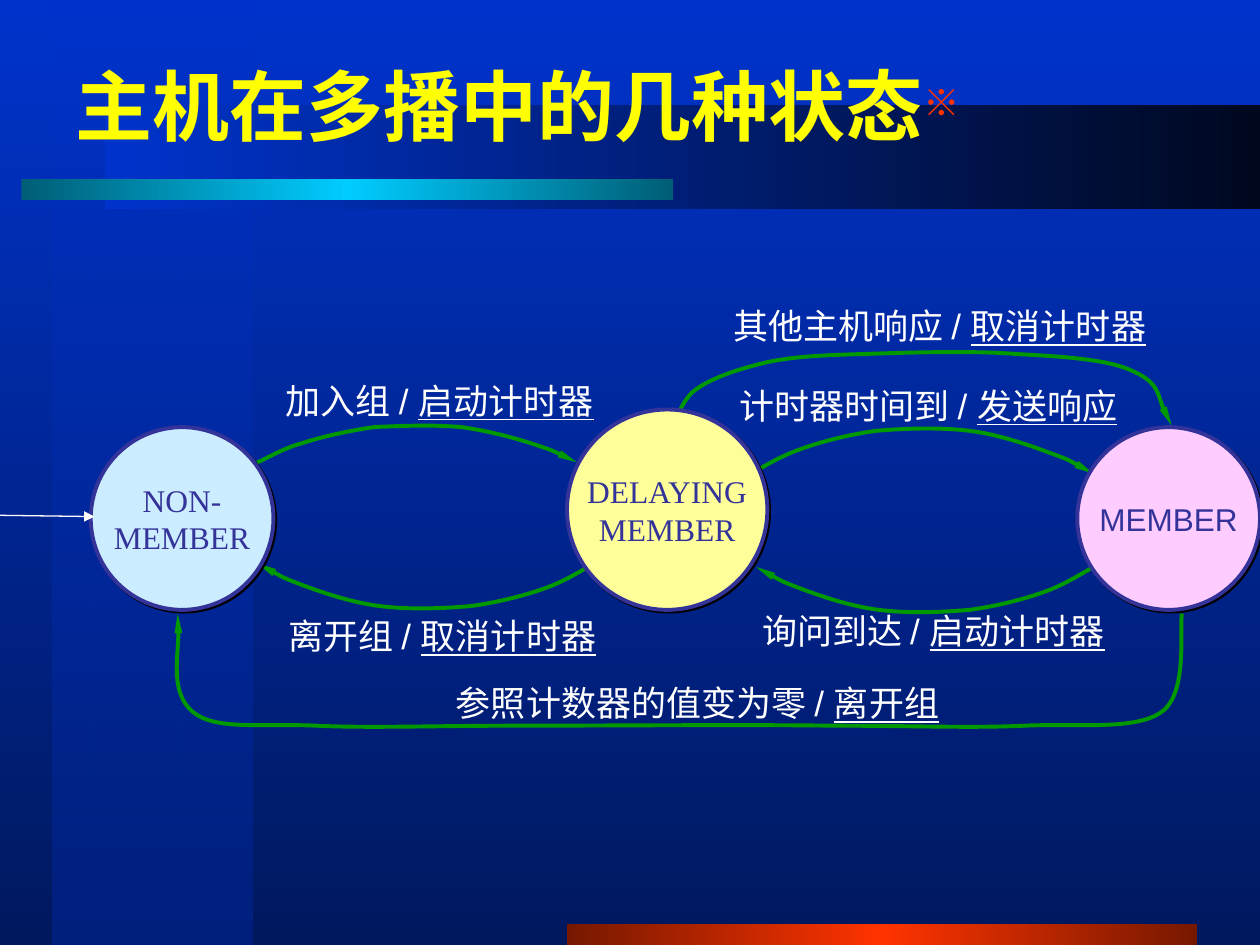
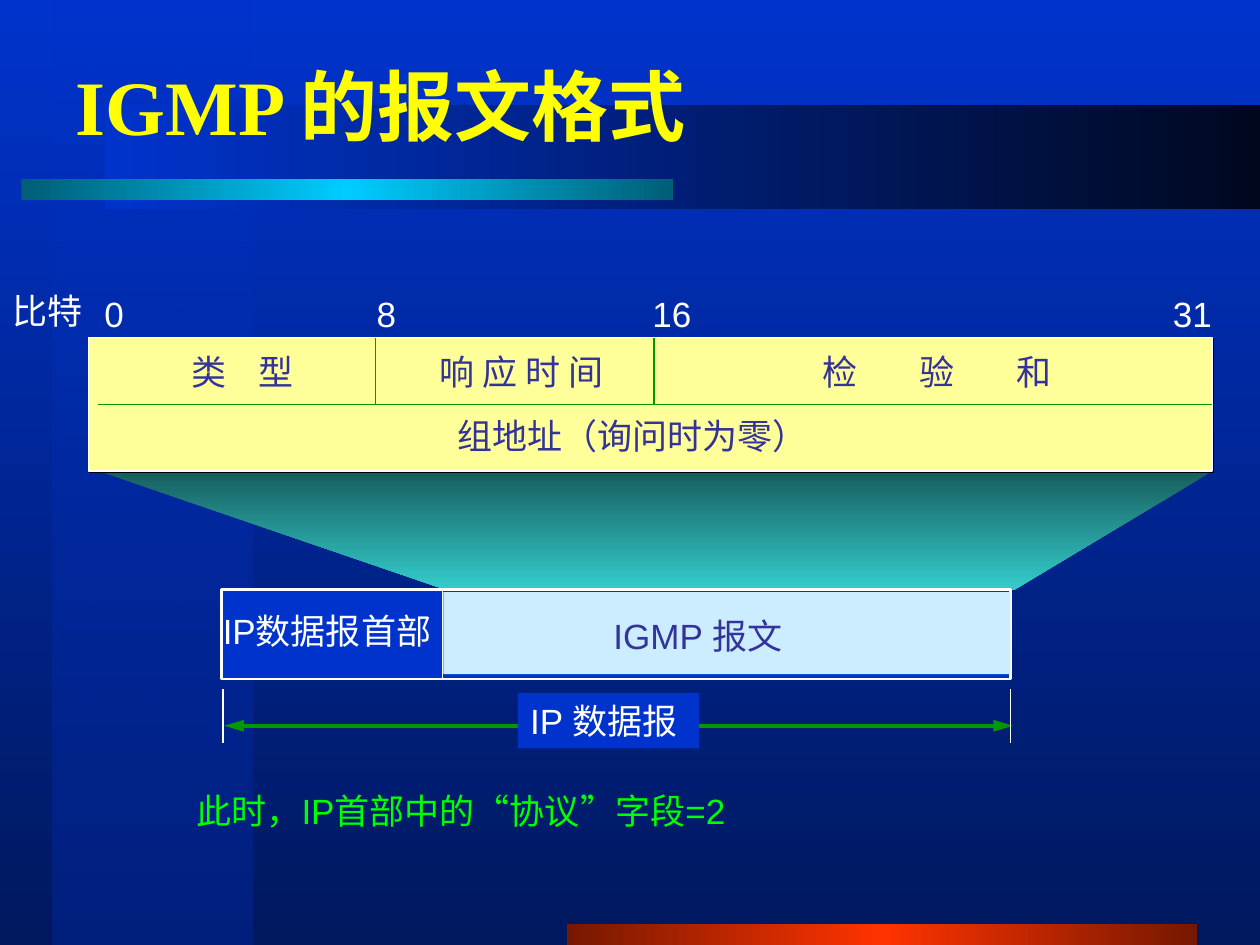
"""Build two slides on IGMP: host states in multicast and the message format."""
from typing import NamedTuple

from lxml.etree import SubElement
from pptx import Presentation
from pptx.dml.color import RGBColor
from pptx.enum.shapes import MSO_CONNECTOR, MSO_SHAPE
from pptx.enum.text import MSO_ANCHOR, MSO_AUTO_SIZE, PP_ALIGN
from pptx.oxml.ns import qn
from pptx.util import Emu, Pt

PX = 9144
SANS, SERIF = "Arial", "Times New Roman"

WHITE = RGBColor(0xFF, 0xFF, 0xFF)
BLACK = RGBColor(0x00, 0x00, 0x00)
YELLOW = RGBColor(0xFF, 0xFF, 0x01)
RED = RGBColor(0xFF, 0x33, 0x00)
DARK_RED = RGBColor(0x76, 0x18, 0x00)
CYAN = RGBColor(0x00, 0xCC, 0xFF)
DARK_CYAN = RGBColor(0x00, 0x5E, 0x76)
TEAL = RGBColor(0x33, 0xCC, 0xCC)
DARK_TEAL = RGBColor(0x18, 0x5E, 0x5E)
BLUE = RGBColor(0x00, 0x33, 0xCC)
NAVY = RGBColor(0x00, 0x18, 0x5E)
STRIPE_NAVY = RGBColor(0x00, 0x20, 0x7E)
MIDNIGHT = RGBColor(0x00, 0x08, 0x1F)
INDIGO = RGBColor(0x33, 0x33, 0x99)
GREEN = RGBColor(0x00, 0x99, 0x00)
LIME = RGBColor(0x00, 0xFF, 0x00)
CREAM = RGBColor(0xFF, 0xFF, 0x99)
ICE = RGBColor(0xCC, 0xEC, 0xFF)
PINK = RGBColor(0xFF, 0xCC, 0xFF)


class Band(NamedTuple):
    """A gradient bar of the master; the first stop may be transparent."""
    x: int
    y: int
    w: int
    h: int
    stops: tuple
    angle: int = 0
    alpha: int = 100


class State(NamedTuple):
    """A circle of the state diagram."""
    x: int
    y: int
    size: int
    text: str
    color: RGBColor
    font: str = SERIF


class Label(NamedTuple):
    """An event and the action it triggers."""
    x: int
    y: int
    w: int
    event: str
    action: str


class Caption(NamedTuple):
    """A line of text in the message diagram."""
    x: int
    y: int
    w: int
    text: str
    color: RGBColor = WHITE
    spacing: float = 0


class Bow(NamedTuple):
    """A shallow arc given by its start and signed extent."""
    x: int
    y: int
    w: int
    h: int


BANDS = (
    Band(42, 0, 158, 750, (BLUE, STRIPE_NAVY), 90, 50),
    Band(450, 733, 500, 17, (DARK_RED, RED, DARK_RED)),
    Band(83, 83, 917, 83, (BLUE, MIDNIGHT)),
    Band(17, 142, 517, 17, (DARK_CYAN, CYAN, DARK_CYAN)),
)
STATES = (
    State(450, 325, 159, "DELAYING\nMEMBER", CREAM),
    State(72, 339, 145, "NON-\nMEMBER", ICE),
    State(855, 339, 145, "MEMBER", PINK, SANS),
)
LABELS = (
    Label(217, 296, 282, "加入组", "启动计时器"),
    Label(219, 483, 282, "离开组", "取消计时器"),
    Label(577, 300, 338, "计时器时间到", "发送响应"),
    Label(595, 479, 310, "询问到达", "启动计时器"),
    Label(572, 237, 366, "其他主机响应", "取消计时器"),
    Label(352, 536, 422, "参照计数器的值变为零", "离开组"),
)
BOWS = (
    Bow(204, 367, 254, -30),
    Bow(596, 376, 272, -37),
    Bow(472, 447, -268, 37),
    Bow(868, 450, -268, 37),
)
BOW_W, BOW_H = 268, 37
BOW_POINTS = (
    (0, 0), (6, 3), (21, 13), (37, 19), (53, 25), (76, 31), (98, 34), (120, 36),
    (148, 37), (171, 34), (194, 31), (217, 23), (233, 17), (249, 11), (257, 6), (268, 0),
)
OVER_LOOP = (
    (534, 339), (537, 334), (541, 316), (554, 308), (567, 299), (589, 292), (611, 287),
    (632, 283), (651, 282), (684, 281), (716, 280), (771, 278), (807, 281), (843, 283),
    (880, 285), (900, 295), (920, 304), (923, 329), (930, 338),
)
UNDER_LOOP = (
    (938, 487), (936, 500), (943, 550), (922, 565), (901, 580), (856, 574), (813, 576),
    (769, 578), (728, 576), (661, 576), (594, 575), (479, 576), (411, 576), (343, 576),
    (294, 578), (251, 576), (208, 574), (171, 580), (153, 565), (135, 550), (144, 503),
    (141, 487),
)
CAPTIONS = (
    Caption(167, 479, 196, "IP数据报首部"),
    Caption(477, 483, 165, "IGMP 报文", INDIGO),
    Caption(73, 227, 38, "0"),
    Caption(289, 227, 38, "8"),
    Caption(508, 227, 54, "16"),
    Caption(921, 227, 54, "31"),
    Caption(142, 273, 114, "类 型", INDIGO, 6.8),
    Caption(339, 273, 154, "响 应 时 间", INDIGO),
    Caption(643, 273, 220, "检 验 和", INDIGO, 15.5),
    Caption(353, 324, 302, "组地址（询问时为零）", INDIGO),
    Caption(0, 225, 79, "比特"),
    Caption(146, 622, 464, "此时，IP首部中的“协议”字段=2", LIME),
)


def px(*values: int) -> list:
    """Turn pixels into EMU."""
    return [Emu(v * PX) for v in values]


def add_text(p, text: str, *, size: float = 20, color: RGBColor = WHITE, font: str = SANS,
             bold: bool = False, underline: bool = False, spacing: float = 0,
             baseline: int = 0) -> None:
    """Add a formatted run to a paragraph."""
    r = p.add_run()
    r.text = text
    r.font.size, r.font.name = Pt(size), font
    r.font.bold, r.font.underline = bold, underline
    r.font.color.rgb = color
    rPr = r.font._element
    if spacing:
        rPr.set("spc", str(round(spacing * 100)))
    if baseline:
        rPr.set("baseline", str(baseline * 1000))


def set_gradient(fill, element, stops: tuple, angle: int, alpha: int = 100) -> None:
    """Fill with evenly spaced colour stops at a clockwise angle."""
    fill.gradient()
    fill.gradient_angle = -angle % 360
    stop_list = element.find(".//" + qn("a:gsLst"))
    stop_list.clear()
    for i, color in enumerate(stops):
        stop = SubElement(stop_list, qn("a:gs"), pos=str(100000 * i // (len(stops) - 1)))
        clr = SubElement(stop, qn("a:srgbClr"), val=str(color))
        if i == 0 and alpha < 100:
            SubElement(clr, qn("a:alpha"), val=str(alpha * 1000))


def set_arrows(line, *ends: str, width: str = "sm", length: str = "lg") -> None:
    """Put triangle arrowheads on the named ends, head before tail."""
    for end in ends:
        SubElement(line._get_or_add_ln(), qn(f"a:{end}End"), type="triangle", w=width, len=length)


def add_box(s, kind: MSO_SHAPE, x: int, y: int, w: int, h: int, *, fill: RGBColor = None,
            line: RGBColor = None, weight: float = 0.75, shadow: bool = False):
    """Add a preset shape with an optional hard shadow."""
    sp = s.shapes.add_shape(kind, *px(x, y, w, h))
    sp.shadow.inherit = False
    if fill is not None:
        sp.fill.solid()
        sp.fill.fore_color.rgb = fill
    if line is None:
        sp.line.fill.background()
    else:
        sp.line.color.rgb, sp.line.width = line, Pt(weight)
    if shadow:
        effects = sp._element.spPr.find(qn("a:effectLst"))
        outer = SubElement(effects, qn("a:outerShdw"), dist="17780", dir="2700000",
                           algn="ctr", rotWithShape="0")
        SubElement(outer, qn("a:srgbClr"), val=str(BLACK))
    return sp


def add_line(s, x1: int, y1: int, x2: int, y2: int, color: RGBColor, weight: float = 0.75):
    """Add a straight connector without shadow."""
    cxn = s.shapes.add_connector(MSO_CONNECTOR.STRAIGHT, *px(x1, y1, x2, y2))
    cxn.line.color.rgb, cxn.line.width = color, Pt(weight)
    SubElement(cxn._element.spPr, qn("a:effectLst"))
    return cxn


def add_outline(s, points, close: bool):
    """Add a freeform through the points."""
    builder = s.shapes.build_freeform(*points[0], scale=PX)
    builder.add_line_segments(points[1:], close=close)
    sp = builder.convert_to_shape()
    sp.shadow.inherit = False
    return sp


def add_curve(s, points) -> None:
    """Add a green Bezier arrow; every three points after the first form a segment."""
    sp = add_outline(s, points, False)
    sp.fill.background()
    sp.line.color.rgb, sp.line.width = GREEN, Pt(2.25)
    set_arrows(sp.line, "tail")
    segments = sp._element.findall(".//" + qn("a:lnTo"))
    outline = segments[0].getparent()
    for i, segment in enumerate(segments):
        if i % 3 == 0:
            curve = SubElement(outline, qn("a:cubicBezTo"))
        curve.append(segment[0])
        outline.remove(segment)


def add_label(s, x: int, y: int, w: int, h: int = 44):
    """Add a one-line text box that fits its text."""
    sp = s.shapes.add_textbox(*px(x, y, w, h))
    sp.text_frame.word_wrap = False
    sp.text_frame.auto_size = MSO_AUTO_SIZE.SHAPE_TO_FIT_TEXT
    return sp


def style_master(prs, s) -> None:
    """Give the master its background and gradient bands."""
    master = prs.slide_master
    set_gradient(master.background.fill, master._element.cSld, (BLUE, NAVY), 90)
    for i, b in enumerate(BANDS):
        sp = add_box(s, MSO_SHAPE.RECTANGLE, b.x, b.y, b.w, b.h)
        set_gradient(sp.fill, sp._element.spPr, b.stops, b.angle, b.alpha)
        sp._element.nvSpPr.cNvPr.set("id", str(100 + i))
        master.shapes._spTree.insert(2 + i, sp._element)


def add_slide(prs, title: str):
    """Add a title-only slide and return it with its title paragraph."""
    s = prs.slides.add_slide(prs.slide_layouts[5])
    sp = s.shapes.title
    sp.left, sp.top, sp.width, sp.height = px(50, 33, 782, 100)
    tf = sp.text_frame
    tf.auto_size, tf.vertical_anchor = MSO_AUTO_SIZE.NONE, MSO_ANCHOR.MIDDLE
    p = tf.paragraphs[0]
    p.alignment = PP_ALIGN.LEFT
    add_text(p, title, size=44, color=YELLOW, font=SERIF, bold=True)
    return s, p


def build_states(prs) -> None:
    """Draw the host state diagram."""
    s, title = add_slide(prs, "主机在多播中的几种状态")
    add_text(title, "※", size=36, color=RED, font=SERIF, bold=True, baseline=30)
    style_master(prs, s)
    for b in BOWS:
        add_curve(s, [(b.x + round(x * b.w / BOW_W), b.y + round(y * b.h / BOW_H))
                      for x, y in BOW_POINTS])
    add_curve(s, OVER_LOOP)
    add_curve(s, UNDER_LOOP)
    for st in STATES:
        sp = add_box(s, MSO_SHAPE.OVAL, st.x, st.y, st.size, st.size, fill=st.color,
                     line=INDIGO, weight=2.25, shadow=True)
        tf = sp.text_frame
        tf.word_wrap, tf.vertical_anchor = False, MSO_ANCHOR.MIDDLE
        for i, text in enumerate(st.text.split("\n")):
            p = tf.add_paragraph() if i else tf.paragraphs[0]
            p.alignment = PP_ALIGN.CENTER
            add_text(p, text, size=18, color=INDIGO, font=st.font)
    for lb in LABELS:
        p = add_label(s, lb.x, lb.y, lb.w).text_frame.paragraphs[0]
        add_text(p, f"{lb.event} / ")
        add_text(p, lb.action, underline=True)
    set_arrows(add_line(s, 0, 409, 75, 410, WHITE).line, "tail", width="med", length="med")


def build_format(prs) -> None:
    """Draw the IGMP message inside its IP datagram."""
    s, _ = add_slide(prs, "IGMP 的报文格式")
    funnel = add_outline(s, ((82, 375), (962, 374), (805, 468), (354, 468)), True)
    set_gradient(funnel.fill, funnel._element.spPr, (DARK_TEAL, TEAL), 90)
    funnel.line.fill.background()
    add_box(s, MSO_SHAPE.RECTANGLE, 176, 468, 626, 71, fill=BLUE, line=WHITE, weight=1.5)
    add_box(s, MSO_SHAPE.RECTANGLE, 352, 470, 450, 65, fill=ICE)
    add_line(s, 351, 468, 351, 539, WHITE)
    span = add_line(s, 178, 576, 804, 576, GREEN, 2.25)
    set_arrows(span.line, "head", "tail", width="med")
    sp = add_label(s, 411, 550, 144)
    sp.fill.solid()
    sp.fill.fore_color.rgb = BLUE
    add_text(sp.text_frame.paragraphs[0], "IP 数据报")
    for x in (177, 802):
        add_line(s, x, 547, x, 590, WHITE)
    message = add_box(s, MSO_SHAPE.RECTANGLE, 70, 268, 892, 106, fill=CREAM, line=WHITE, shadow=True)
    add_line(s, 78, 321, 962, 321, GREEN, 1).end_connect(message, 3)
    for x in (298, 519):
        add_line(s, x, 268, x, 321, GREEN, 1)
    for c in CAPTIONS:
        p = add_label(s, c.x, c.y, c.w).text_frame.paragraphs[0]
        add_text(p, c.text, color=c.color, spacing=c.spacing)


def main() -> None:
    """Build and save the presentation."""
    prs = Presentation()
    prs.slide_width, prs.slide_height = px(1000, 750)
    build_states(prs)
    build_format(prs)
    prs.save("out.pptx")


if __name__ == "__main__":
    main()
